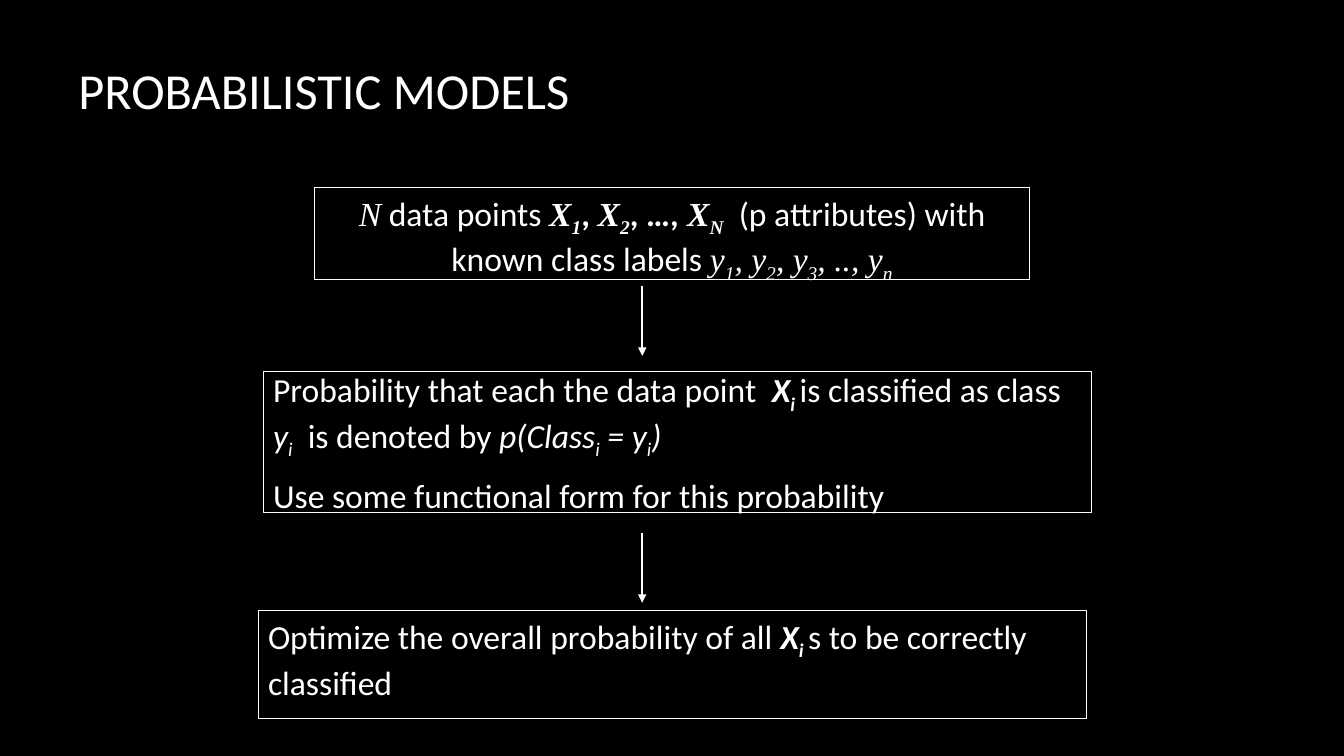
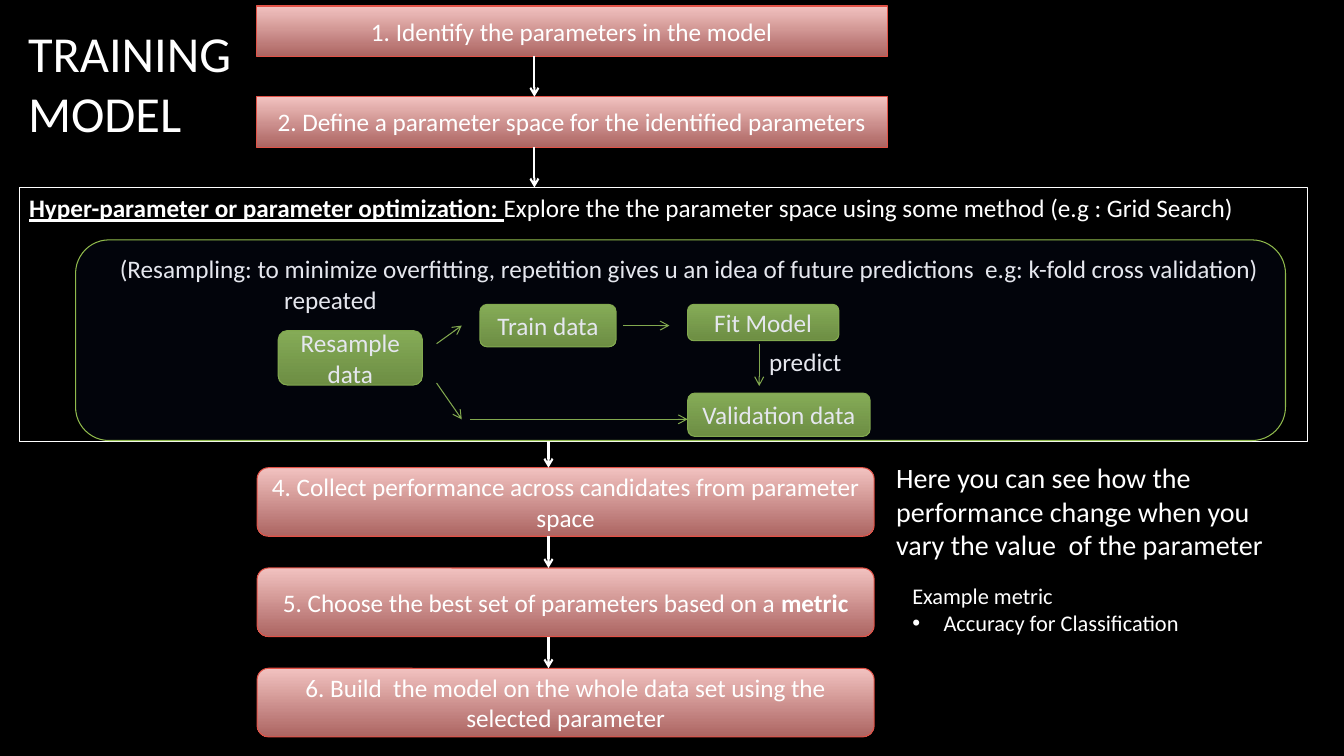
from collections import namedtuple

from lxml import etree
from pptx import Presentation
from pptx.dml.color import RGBColor
from pptx.enum.shapes import MSO_CONNECTOR, MSO_SHAPE
from pptx.enum.text import MSO_ANCHOR, PP_ALIGN
from pptx.oxml.ns import qn
from pptx.util import Inches, Pt

RECT, ROUNDED = MSO_SHAPE.RECTANGLE, MSO_SHAPE.ROUNDED_RECTANGLE
STRAIGHT = MSO_CONNECTOR.STRAIGHT
TOP, MIDDLE = MSO_ANCHOR.TOP, MSO_ANCHOR.MIDDLE
LEFT, CENTER = PP_ALIGN.LEFT, PP_ALIGN.CENTER

BLACK = RGBColor(0x00, 0x00, 0x00)
WHITE = RGBColor(0xFF, 0xFF, 0xFF)
NAVY = RGBColor(0x18, 0x27, 0x6C)
GREEN_LINE = RGBColor(0x90, 0xBA, 0x4C)
RED_LINE = RGBColor(0xE2, 0x52, 0x47)
GREEN_FADE = (RGBColor(0x93, 0xBC, 0x55), RGBColor(0x78, 0x9B, 0x3F))
RED_FADE = (RGBColor(0xF2, 0xC2, 0xC0), RGBColor(0xAC, 0x65, 0x62))

BODY_FONT, MATH_FONT = "Calibri", "Times New Roman"

Box = namedtuple("Box", "left top width height")


def inches(values):
    return [Inches(value) for value in values]


def add_page(deck):
    page = deck.slides.add_slide(deck.slide_layouts[6])
    page.background.fill.solid()
    page.background.fill.fore_color.rgb = BLACK
    return page


def write(frame, paras, size, align=LEFT, anchor=TOP, space_after=0):
    """Write paragraphs of (text, style) spans.

    Style letters: b bold, i italic, u underlined, s subscript, m math font.
    """
    frame.word_wrap = True
    frame.vertical_anchor = anchor
    for index, spans in enumerate(paras):
        para = frame.paragraphs[0] if index == 0 else frame.add_paragraph()
        para.alignment = align
        para.space_after = Pt(space_after)
        for text, style in spans:
            span = para.add_run()
            span.text = text
            font = span.font
            font.size = Pt(size)
            font.color.rgb = WHITE
            font.name = MATH_FONT if "m" in style else BODY_FONT
            font.bold = "b" in style
            font.italic = "i" in style
            font.underline = "u" in style
            if "s" in style:
                span._r.get_or_add_rPr().set("baseline", "-25000")


def add_text(page, box, paras, size, **layout):
    frame = page.shapes.add_textbox(*inches(box)).text_frame
    write(frame, paras, size, **layout)
    return frame


def add_title(page, box, text):
    add_text(page, box, [[(text, "")]], 36, anchor=MIDDLE)


def add_shape(page, kind, box, line_color, fade=None):
    """Add an outlined shape, filled from top to bottom if fade is given."""
    shape = page.shapes.add_shape(kind, *inches(box))
    shape.shadow.inherit = False
    shape.line.color.rgb = line_color
    shape.line.width = Pt(0.75)
    if fade:
        shape.fill.gradient()
        shape.fill.gradient_angle = 270
        for stop, color, position in zip(shape.fill.gradient_stops, fade, (0, 1)):
            stop.color.rgb = color
            stop.position = position
    else:
        shape.fill.background()
    return shape


def add_frame(page, box, paras, size, **layout):
    frame = add_shape(page, RECT, box, WHITE).text_frame
    write(frame, paras, size, **layout)
    return frame


def add_node(page, kind, box, line_color, fade, spans):
    shape = add_shape(page, kind, box, line_color, fade)
    write(shape.text_frame, [spans], 18, align=CENTER, anchor=MIDDLE)


def add_arrow(page, start, end, color=WHITE, width=1.5, tip="arrow"):
    arrow = page.shapes.add_connector(STRAIGHT, *inches(start + end))
    arrow.line.color.rgb = color
    arrow.line.width = Pt(width)
    properties = arrow._element.spPr
    etree.SubElement(properties.find(qn("a:ln")), qn("a:tailEnd"), type=tip)
    etree.SubElement(properties, qn("a:effectLst"))


def add_steps(page, box, kind, step_height, axis, steps):
    """Stack red steps evenly in the box, joined by arrows at x = axis."""
    pitch = (box.height - step_height) / (len(steps) - 1)
    for index, spans in enumerate(steps):
        top = box.top + index * pitch
        step = Box(box.left, top, box.width, step_height)
        add_node(page, kind, step, RED_LINE, RED_FADE, spans)
        if index:
            add_arrow(page, (axis, top - pitch + step_height), (axis, top))


def add_optimization(page, box):
    """Draw the framed resampling loop."""
    frame = add_frame(page, box, [
        [("Hyper-parameter or parameter optimization: ", "bu"),
         ("Explore the the parameter space using some method "
          "(e.g : Grid Search)", "")],
        [("(Resampling: to minimize overfitting, repetition gives u an idea of "
          "future predictions  e.g: k-fold cross validation)", "")],
    ], 18)
    resampling = frame.paragraphs[1]
    resampling.space_before = Pt(22)
    resampling._p.get_or_add_pPr().set("marL", str(Inches(0.9)))

    nodes = [
        ("Resample data", 2.57, 1.42, 1.43, 0.54),
        ("Train data", 4.57, 1.16, 1.35, 0.42),
        ("Fit Model", 6.63, 1.16, 1.5, 0.36),
        ("Validation data", 6.63, 2.04, 1.81, 0.43),
    ]
    for label, left, top, width, height in nodes:
        node = Box(box.left + left, box.top + top, width, height)
        add_node(page, ROUNDED, node, GREEN_LINE, GREEN_FADE, [(label, "")])

    arrows = [
        (4.14, 1.55, 4.39, 1.37),
        (4.14, 1.94, 4.39, 2.3),
        (5.99, 1.37, 6.45, 1.37),
        (4.47, 2.3, 6.63, 2.3),
        (7.34, 1.55, 7.34, 1.97),
    ]
    for x1, y1, x2, y2 in arrows:
        add_arrow(page, (box.left + x1, box.top + y1),
                  (box.left + x2, box.top + y2), GREEN_LINE, 0.75)

    for label, left, top in [("predict", 7.34, 1.53), ("repeated", 2.53, 0.91)]:
        label_box = Box(box.left + left, box.top + top, 1.2, 0.4)
        add_text(page, label_box, [[(label, "")]], 18)

    tint_box = Box(box.left + 0.56, box.top + 0.52, box.width - 0.78, 1.99)
    tint = add_shape(page, ROUNDED, tint_box, GREEN_LINE)
    tint.fill.solid()
    tint.fill.fore_color.rgb = NAVY
    color = tint._element.spPr.find(qn("a:solidFill"))[0]
    etree.SubElement(color, qn("a:alpha"), val="11000")


def add_side_notes(page, box):
    add_text(page, Box(box.left, box.top, box.width, 1.11), [
        [("Here you can see how the performance change when you "
          "vary the value  of the parameter", "")],
    ], 20)
    metrics = add_text(page, Box(box.left + 0.16, box.top + 1.21, 3, 0.64), [
        [("Example metric", "")],
        [("Accuracy for Classification", "")],
    ], 16)
    properties = metrics.paragraphs[1]._p.get_or_add_pPr()
    properties.set("marL", str(Inches(0.31)))
    properties.set("indent", str(-Inches(0.31)))
    etree.SubElement(properties, qn("a:buFont"), typeface="Arial")
    etree.SubElement(properties, qn("a:buChar"), char="•")


def build_probabilistic_models(deck):
    page = add_page(deck)
    add_title(page, Box(0.68, 0.09, 11.08, 1.59), "PROBABILISTIC MODELS")
    add_frame(page, Box(3.12, 1.86, 7.09, 0.91), [[
        ("N", "im"), (" data points ", ""),
        ("X", "bim"), ("1", "bims"), (", ", "b"),
        ("X", "bim"), ("2", "bims"), (", …,", "b"),
        (" X", "bim"), ("N", "bims"),
        ("  (p attributes) with known class labels ", ""),
        ("y", "im"), ("1", "ims"), (", y", "im"), ("2", "ims"),
        (", y", "im"), ("3", "ims"), (", .., y", "im"), ("n", "ims"),
    ]], 24, align=CENTER)
    add_frame(page, Box(2.61, 3.69, 8.22, 1.39), [
        [("Probability that each the data point  ", ""),
         ("X", "bi"), ("i ", "bis"), ("is classified as class ", ""),
         ("y", "i"), ("i", "is"), ("  is denoted by ", ""),
         ("p(Class", "i"), ("i", "is"), (" = y", "i"), ("i", "is"), (")", "i")],
        [("Use some functional form for this probability", "")],
    ], 24, anchor=MIDDLE, space_after=10)
    add_frame(page, Box(2.56, 6.06, 8.22, 1.07), [[
        ("Optimize the overall probability of all ", ""),
        ("X", "bi"), ("i ", "bis"), ("s to be correctly classified", ""),
    ]], 24)
    for top in (2.84, 5.29):
        add_arrow(page, (6.37, top), (6.37, top + 0.69), tip="triangle")


def build_training_model(deck):
    page = add_page(deck)
    setup = Box(2.54, 0.06, 6.26, 1.4)
    panel = Box(0.19, 1.86, 12.78, 2.52)
    selection = Box(2.55, 4.64, 6.12, 2.67)
    setup_axis, selection_axis = 5.3, 5.44

    add_title(page, Box(0.18, 0.02, 2.25, 1.59), "TRAINING MODEL")
    add_steps(page, setup, RECT, 0.5, setup_axis, [
        [("1. Identify the parameters in the model", "")],
        [("2. Define a parameter space for the identified parameters", "")],
    ])
    add_optimization(page, panel)
    add_steps(page, selection, ROUNDED, 0.68, selection_axis, [
        [("4. Collect performance across candidates from parameter space", "")],
        [("5. Choose the best set of parameters based on a ", ""),
         ("metric", "b")],
        [("6. Build  the model on the whole data set using the "
          "selected parameter", "")],
    ])
    add_arrow(page, (setup_axis, setup.top + setup.height),
              (setup_axis, panel.top))
    add_arrow(page, (selection_axis, panel.top + panel.height),
              (selection_axis, selection.top))
    add_side_notes(page, Box(8.79, 4.52, 3.9, 1.85))


def main():
    deck = Presentation()
    deck.slide_width, deck.slide_height = Inches(13.33), Inches(7.5)
    build_probabilistic_models(deck)
    build_training_model(deck)
    deck.save("out.pptx")


if __name__ == "__main__":
    main()
